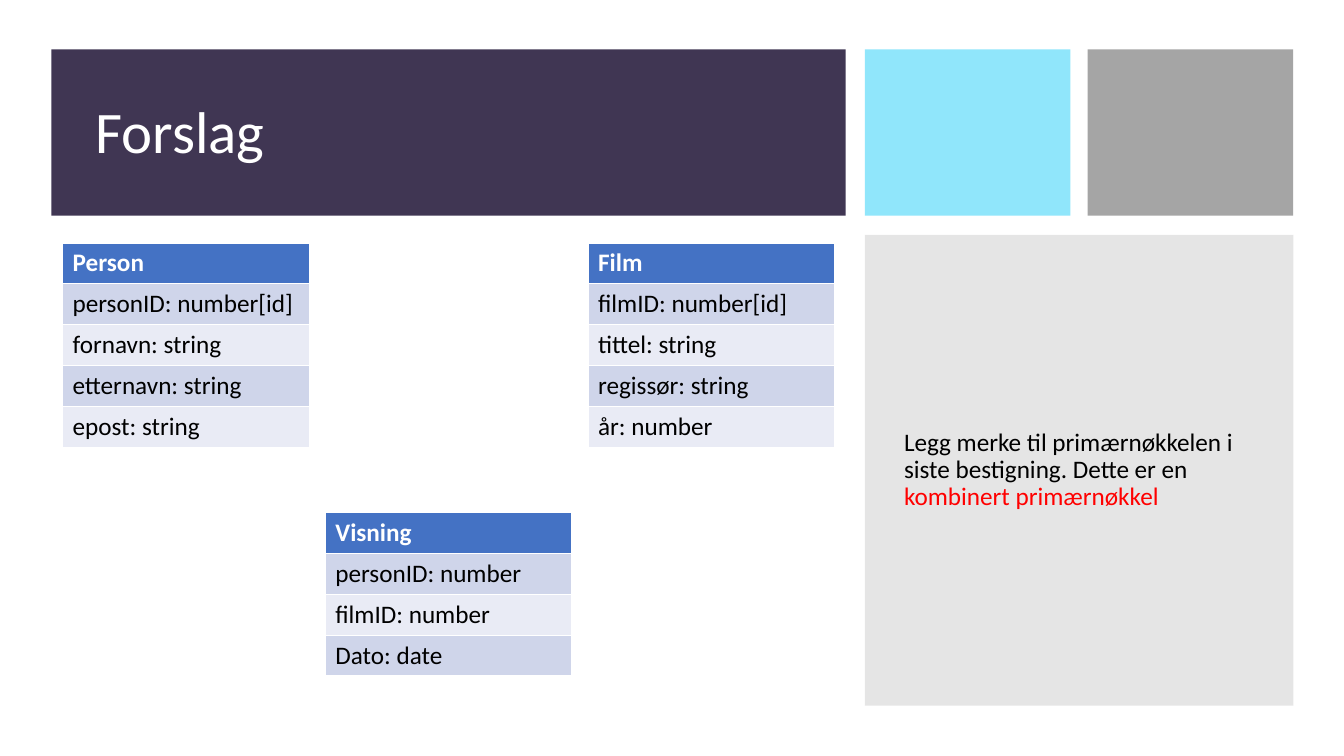
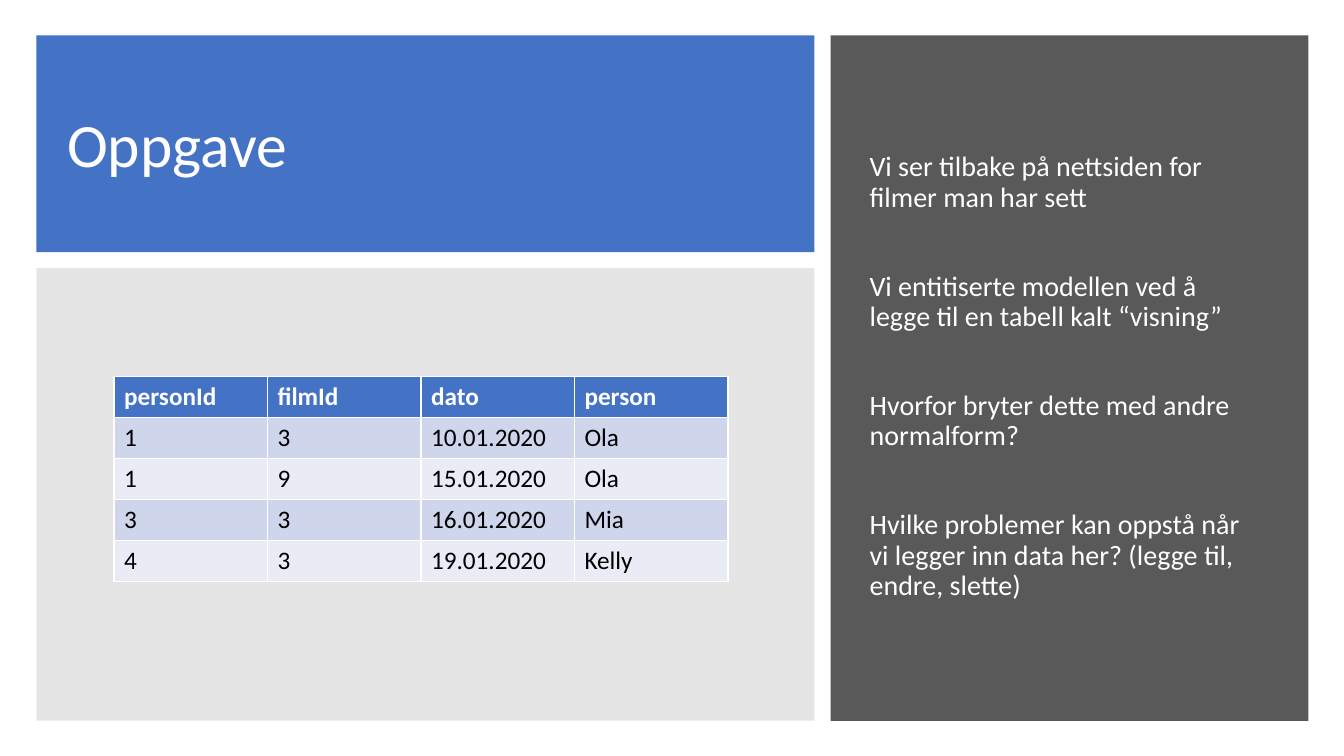
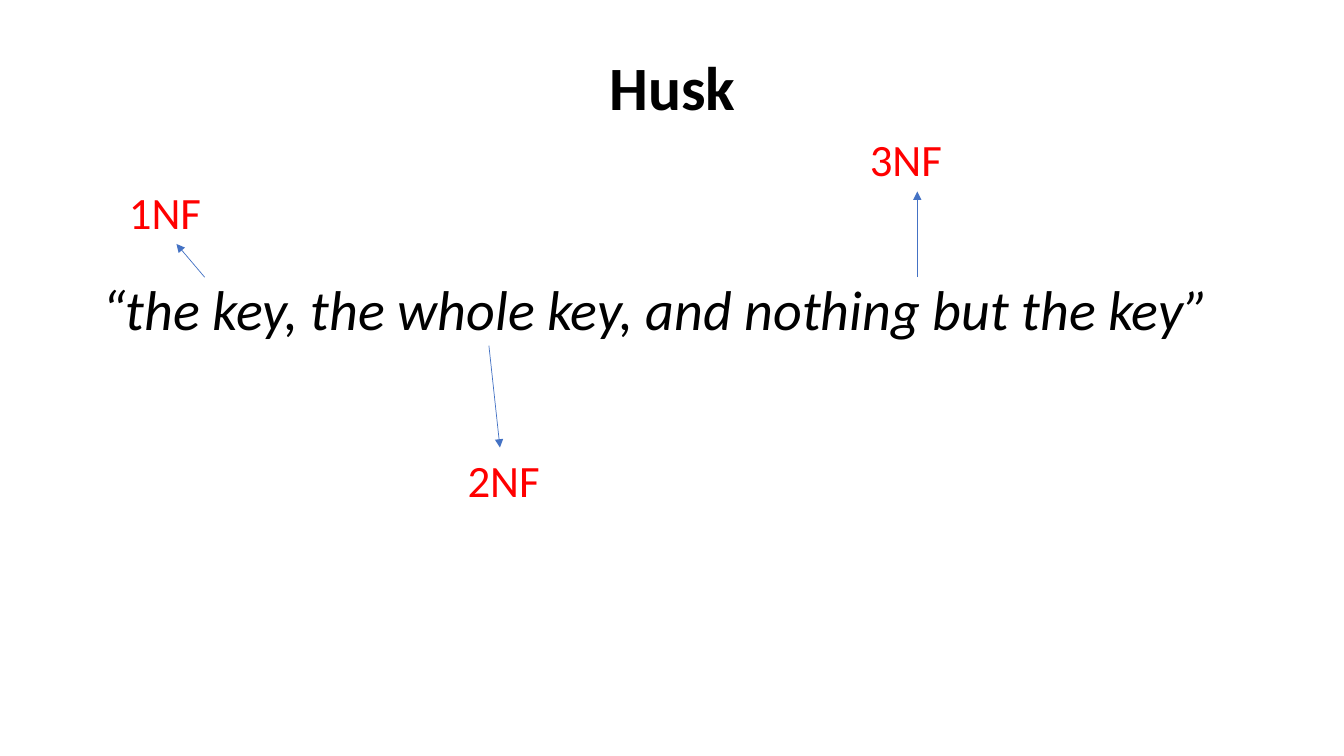
from dataclasses import dataclass
from itertools import accumulate

from lxml.etree import SubElement
from pptx import Presentation
from pptx.dml.color import RGBColor
from pptx.enum.shapes import MSO_CONNECTOR, MSO_SHAPE
from pptx.enum.text import MSO_ANCHOR, PP_ALIGN
from pptx.oxml.ns import qn
from pptx.util import Inches, Pt

# Shared look
FONT = "Calibri"
WHITE, BLACK, RED, BLUE = "FFFFFF", "000000", "FF0000", "4472C4"
BANDS = ("CFD5EA", "E9EBF5")
ROW_H = 29.2 / 72


@dataclass
class Box:
    """A region in inches, from which smaller regions are cut."""
    x: float
    y: float
    w: float
    h: float

    def area(self, x, y, w, h):
        """Sub-region given in percent of this one."""
        return Box(self.x + self.w * x / 100, self.y + self.h * y / 100,
                   self.w * w / 100, self.h * h / 100)

    def inset(self, dx, dy):
        return Box(self.x + dx, self.y + dy, self.w - 2 * dx, self.h - 2 * dy)

    def cols(self, shares, gap):
        return [Box(self.x + start, self.y, size, self.h)
                for start, size in spans(self.w, shares, gap)]

    def rows(self, shares, gap):
        return [Box(self.x, self.y + start, self.w, size)
                for start, size in spans(self.h, shares, gap)]

    def emu(self):
        return [Inches(v) for v in (self.x, self.y, self.w, self.h)]


def spans(length, shares, gap):
    unit = (length - gap * (len(shares) - 1)) / sum(shares)
    sizes = [share * unit for share in shares]
    starts = accumulate([size + gap for size in sizes[:-1]], initial=0)
    return list(zip(starts, sizes))


PAGE = Box(0, 0, 40 / 3, 7.5)


def color(value):
    return RGBColor.from_string(value)


def add_run(p, text, size, fill, bold=False, italic=False):
    r = p.add_run()
    r.text = text
    r.font.name, r.font.size = FONT, Pt(size)
    r.font.bold, r.font.italic = bold, italic
    r.font.color.rgb = color(fill)


def add_rect(s, box, fill, alpha=None):
    sp = s.shapes.add_shape(MSO_SHAPE.RECTANGLE, *box.emu())
    sp.shadow.inherit = False
    sp.fill.solid()
    sp.fill.fore_color.rgb = color(fill)
    sp.line.fill.background()
    if alpha:
        rgb = sp.element.spPr.find(".//" + qn("a:srgbClr"))
        SubElement(rgb, qn("a:alpha")).set("val", str(alpha * 1000))


def add_text(s, box, paragraphs, anchor=MSO_ANCHOR.MIDDLE, align=PP_ALIGN.LEFT,
             line=0.9, before=0, gap=0):
    """Each paragraph is a list of runs; gap is the space between paragraphs."""
    tf = s.shapes.add_textbox(*box.emu()).text_frame
    tf.word_wrap = True
    tf.vertical_anchor = anchor
    for i, runs in enumerate(paragraphs):
        p = tf.add_paragraph() if i else tf.paragraphs[0]
        p.alignment, p.line_spacing = align, line
        p.space_before = Pt(gap if i else before)
        for run in runs:
            add_run(p, *run)


def add_grid(s, x, y, w, rows):
    """Table with a blue header row and banded body rows."""
    box = Box(x, y, w, ROW_H * len(rows))
    table = s.shapes.add_table(len(rows), len(rows[0]), *box.emu()).table
    for i, values in enumerate(rows):
        header = i == 0
        for j, value in enumerate(values):
            cell = table.cell(i, j)
            cell.fill.solid()
            cell.fill.fore_color.rgb = color(BLUE if header else BANDS[(i - 1) % 2])
            add_run(cell.text_frame.paragraphs[0], value, 18,
                    WHITE if header else BLACK, header)


def add_arrow(s, start, end):
    """Arrow between two points given in percent of the page."""
    ends = [PAGE.area(x, y, 0, 0) for x, y in (start, end)]
    points = [Inches(v) for b in ends for v in (b.x, b.y)]
    c = s.shapes.add_connector(MSO_CONNECTOR.STRAIGHT, *points)
    c.line.color.rgb = color(BLUE)
    c.line.width = Pt(0.5)
    props = c.element.spPr
    SubElement(props.find(qn("a:ln")), qn("a:tailEnd")).set("type", "triangle")
    SubElement(props, qn("a:effectLst"))


def model_slide(s, box):
    left, right = box.cols((7.88, 4.25), 0.19)
    band, model = left.rows((1.65, 4.67), 0.19)
    tiles, note = right.rows((1.65, 4.67), 0.19)

    # Header
    add_rect(s, band, "403653")
    add_text(s, band.area(4.3, 16.4, 91.8, 69.1), [[("Forslag", 42, WHITE)]])
    for tile, fill in zip(tiles.cols((1, 1), 0.17), ("90E6FB", "A5A5A5")):
        add_rect(s, tile, fill)

    # Note
    add_rect(s, note, "808080", 20)
    add_text(s, note.inset(0.29, 0.29), [[
        ("Legg merke til primærnøkkelen i siste bestigning. Dette er en ", 18, BLACK),
        ("kombinert primærnøkkel", 18, RED)]])

    # Entities
    person = ("Person", "personID: number[id]", "fornavn: string",
              "etternavn: string", "epost: string")
    film = ("Film", "filmID: number[id]", "tittel: string",
            "regissør: string", "år: number")
    showing = ("Visning", "personID: number", "filmID: number", "Dato: date")
    first, middle, last = model.inset(0.11, 0.08).cols((1, 1, 1), 0.16)
    low = model.y + model.h * 0.59
    for col, top, fields in ((first, first.y, person), (last, last.y, film),
                             (middle, low, showing)):
        add_grid(s, col.x, top, col.w, [[field] for field in fields])


def task_slide(s, box):
    left, questions = box.cols((7.72, 4.74), 0.16)
    band, data = left.rows((2.15, 4.49), 0.16)

    # Title
    add_rect(s, band, BLUE)
    add_text(s, band.area(2.7, 10.2, 93.4, 82.8), [[("Oppgave", 44, WHITE)]])

    # Questions
    add_rect(s, questions, "595959")
    lines = ("Vi ser tilbake på nettsiden for filmer man har sett",
             "Vi entitiserte modellen ved å legge til en tabell kalt “visning”",
             "Hvorfor bryter dette med andre normalform?",
             "Hvilke problemer kan oppstå når vi legger inn data her? "
             "(legge til, endre, slette)")
    add_text(s, questions.area(6.1, 6.2, 86.1, 87.3),
             [[(text, 20, WHITE)] for text in lines], before=10, gap=42)

    # Sample data
    add_rect(s, data, "7F7F7F", 20)
    grid = data.area(10, 24, 78.9, 45)
    add_grid(s, grid.x, grid.y, grid.w, [
        ("personId", "filmId", "dato", "person"),
        ("1", "3", "10.01.2020", "Ola"),
        ("1", "9", "15.01.2020", "Ola"),
        ("3", "3", "16.01.2020", "Mia"),
        ("4", "3", "19.01.2020", "Kelly")])


def quote_slide(s, box):
    # Title and quote
    add_text(s, box.area(6.9, 5.33, 86.25, 13.33),
             [[("Husk", 44, BLACK, True)]], align=PP_ALIGN.CENTER)
    add_text(s, box.area(6.9, 36.67, 86.25, 20.8),
             [[("“the key, the whole key, and nothing but the key”",
                40, BLACK, False, True)]], MSO_ANCHOR.TOP, before=10)

    # Normal forms: label, left, top, width, arrow start and end
    forms = (("1NF", 8.85, 23.73, 12.83, (15.23, 36.67), (13.13, 32.27)),
             ("2NF", 34.05, 59.2, 15.9, (36.38, 45.73), (37.2, 59.2)),
             ("3NF", 63.98, 16.8, 17.85, (68.25, 36.67), (68.25, 25.33)))
    for label, x, y, w, start, end in forms:
        add_text(s, box.area(x, y, w, 8.53), [[(label, 32, RED)]],
                 MSO_ANCHOR.TOP, line=1)
        add_arrow(s, start, end)


prs = Presentation()
prs.slide_width, prs.slide_height = Inches(PAGE.w), Inches(PAGE.h)
for build, region in ((model_slide, PAGE.area(3.83, 6.53, 92.4, 86.8)),
                      (task_slide, PAGE.area(2.7, 4.67, 94.65, 90.67)),
                      (quote_slide, PAGE)):
    build(prs.slides.add_slide(prs.slide_layouts[6]), region)
prs.save("out.pptx")
